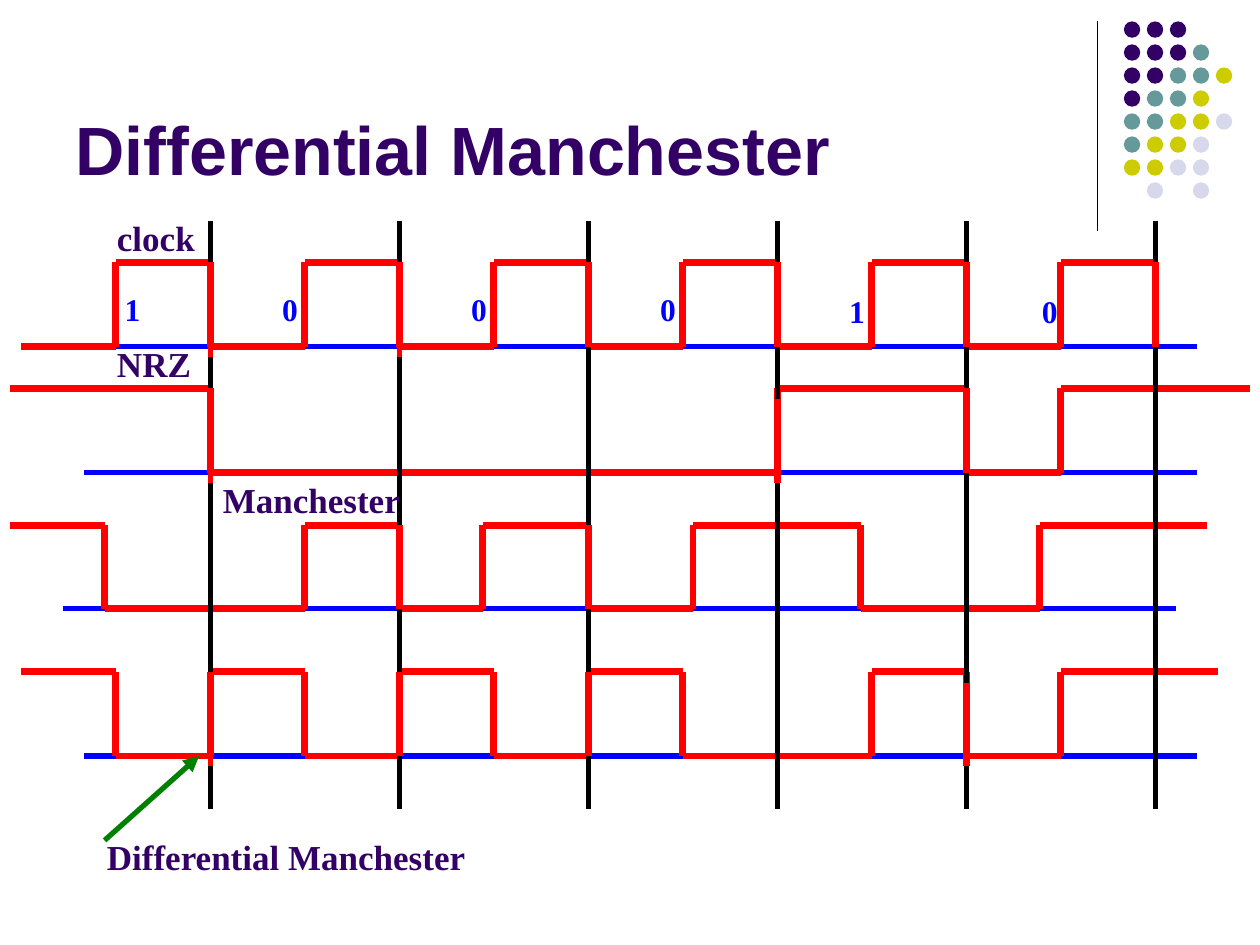
from lxml import etree
from pptx import Presentation
from pptx.dml.color import RGBColor
from pptx.enum import shapes, text
from pptx.oxml import ns
from pptx.util import Inches, Pt

COLORS = {
    "purple": "330066", "teal": "669999", "olive": "CCCC00", "mist": "D8D8EC",
    "red": "FF0000", "blue": "0000FF", "black": "000000", "green": "008000",
}

prs = Presentation()
prs.slide_width, prs.slide_height = Inches(10), Inches(7.5)
slide = prs.slides.add_slide(prs.slide_layouts[6])


def add_line(x1, y1, x2, y2, color, width):
    line = slide.shapes.add_connector(
        shapes.MSO_CONNECTOR.STRAIGHT, Inches(x1), Inches(y1), Inches(x2), Inches(y2))
    line.line.color.rgb = RGBColor.from_string(COLORS[color])
    line.line.width = Pt(width)
    etree.SubElement(line._element.spPr, ns.qn("a:effectLst"))
    return line


def add_label(words, left, top, width, height, size, color="purple",
              font="Times New Roman", inset=0.1):
    frame = slide.shapes.add_textbox(
        Inches(left), Inches(top), Inches(width), Inches(height)).text_frame
    frame.word_wrap = True
    frame.margin_left = Inches(inset)
    frame.text = words
    run_font = frame.paragraphs[0].runs[0].font
    run_font.name, run_font.size, run_font.bold = font, Pt(size), True
    run_font.color.rgb = RGBColor.from_string(COLORS[color])
    return frame


# Corner ornament: rule and dot grid, one letter per dot
add_line(8.71, 0.17, 8.71, 1.83, "black", 0.75)
dot_colors = {"p": "purple", "t": "teal", "o": "olive", "m": "mist"}
dot_rows = ["ppp", "pppt", "pptto", "ptto", "ttoom", "toom", "oomm", "-m-m"]
dot_step = 0.73 / 4
for row, letters in enumerate(dot_rows):
    for col, letter in enumerate(letters):
        if letter == "-":
            continue
        dot = slide.shapes.add_shape(
            shapes.MSO_SHAPE.OVAL, Inches(8.92 + col * dot_step),
            Inches(0.17 + row * dot_step), Inches(0.13), Inches(0.13))
        dot.shadow.inherit = False
        dot.fill.solid()
        dot.fill.fore_color.rgb = RGBColor.from_string(COLORS[dot_colors[letter]])
        dot.line.fill.background()

# Title
title = add_label("Differential Manchester", 0.5, 0.13, 8.25, 1.42, 39, font="Arial")
title.vertical_anchor = text.MSO_ANCHOR.BOTTOM

# Waveforms: high y, low y, baseline start, starts high, x of start, edges and end
half_bits = [0.92 + 0.75 * n for n in range(12)]
waveforms = [
    (2.08, 2.75, 0.67, False, [0.17, *half_bits, 9.17]),
    (3.08, 3.75, 0.67, True, [0.08, 1.67, 6.17, 7.67, 8.42, 9.92]),
    (4.17, 4.83, 0.5, True,
     [0.08, 0.83, 2.42, 3.17, 3.83, 4.67, 5.5, 6.83, 8.25, 9.58]),
    (5.33, 6, 0.67, True, [0.17, *half_bits[:7], *half_bits[8:11], 9.67]),
]

# Edges redrawn slightly lower, over the bit boundaries: x, top, bottom, width
shifted_edges = [
    (1.67, 2.08, 2.83, 3), (1.67, 3.08, 3.83, 3), (1.67, 5.33, 6.08, 3),
    (3.17, 2.08, 2.83, 3), (6.17, 3.17, 3.83, 4), (7.67, 5.42, 6.08, 4),
]
shifted_places = {(x, int(top)) for x, top, bottom, width in shifted_edges}

# Baselines, levels and the edges that stay behind the boundaries
front_edges = []
for high, low, base_left, is_high, xs in waveforms:
    add_line(base_left, low, base_left + 8.83, low, "blue", 3)
    for x1, x2 in zip(xs, xs[1:]):
        level = high if is_high else low
        if x2 > x1:
            add_line(x1, level, x2, level, "red", 4)
        is_high = not is_high
    for x in xs[1:-1]:
        if (round(x, 2), int(high)) in shifted_places:
            add_line(x, low, x, high, "red", 4)
        else:
            front_edges.append((x, high, low, 4))

# Bit boundaries, then the edges in front of them
for bit in range(6):
    boundary = 1.67 + 1.5 * bit
    add_line(boundary, 1.75, boundary, 6.42, "black", 3)
for x, top, bottom, width in front_edges + shifted_edges:
    add_line(x, bottom, x, top, "red", width)

# Waveform names
for name, left, top, width in [
    ("clock", 0.83, 1.67, 0.92),
    ("NRZ", 0.83, 2.67, 2.25),
    ("Manchester", 1.67, 3.75, 2.25),
    ("Differential Manchester", 0.75, 6.58, 6.08),
]:
    add_label(name, left, top, width, 0.44, 20)

# Arrow to the differential waveform
pointer = add_line(0.83, 6.67, 1.58, 6, "green", 3)
etree.SubElement(pointer.line._get_or_add_ln(), ns.qn("a:tailEnd"), type="triangle")

# Bit values
for digit, left, top, inset in [
    ("1", 0.83, 2.25, 0.16), ("0", 2.08, 2.25, 0.16), ("0", 3.58, 2.25, 0.16),
    ("0", 5.08, 2.25, 0.16), ("1", 6.58, 2.27, 0.16), ("0", 8.17, 2.27, 0.1),
]:
    add_label(digit, left, top, 0.5, 0.4, 18, "blue", inset=inset)

prs.save("out.pptx")
